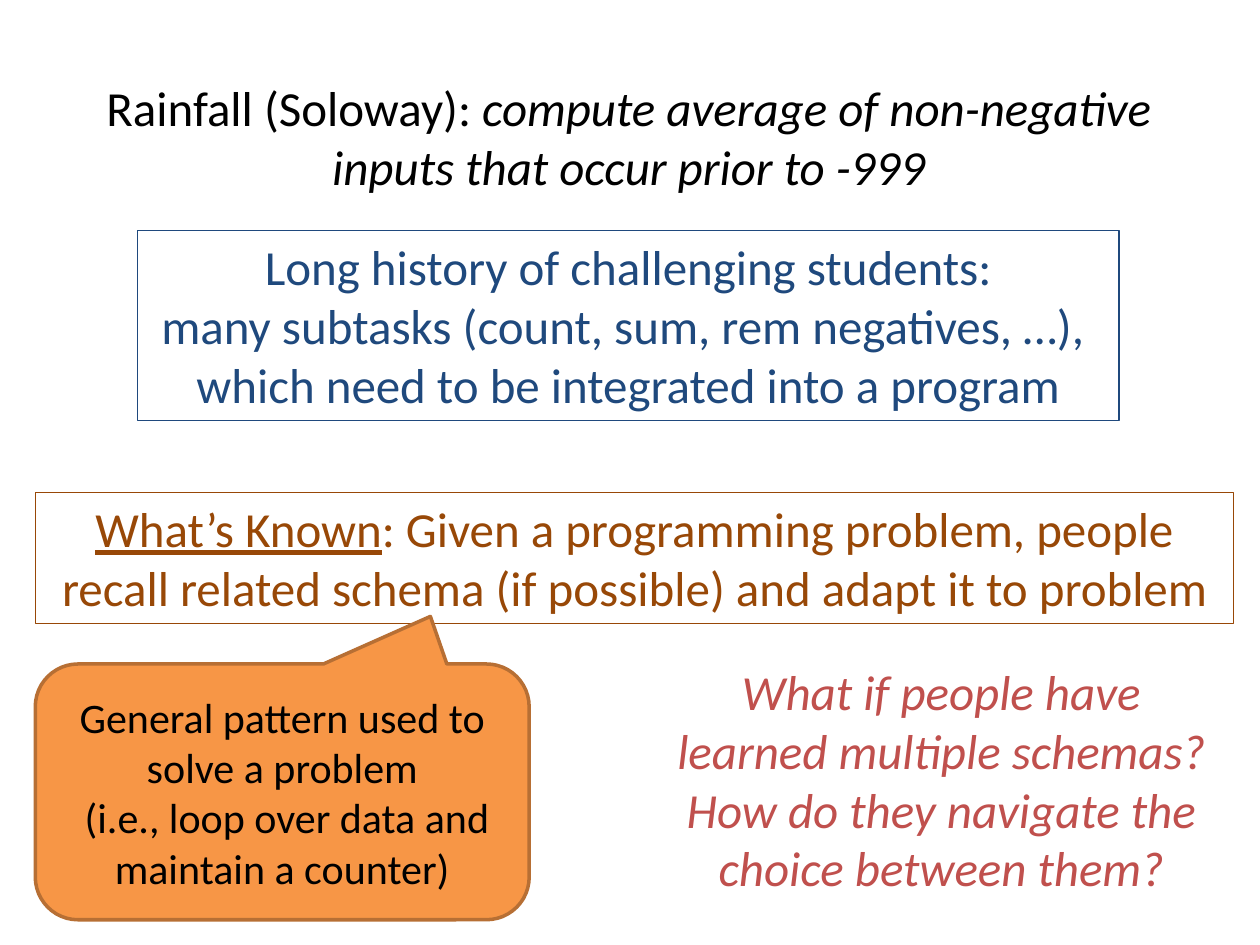
import pptx
import pptx.util
import pptx.dml.color
import pptx.enum.shapes
import pptx.enum.text
from pptx.util import Inches

INK = "000000"
NAVY = "1F497D"
BROWN = "984807"
RED = "C0504D"


def rgb(value):
    """Turn a hex string into a colour."""
    return pptx.dml.color.RGBColor.from_string(value)


def write(shape, paragraphs, color, size=28, italic=None):
    """Write centred paragraphs, each a list of (text, style) runs."""
    frame = shape.text_frame
    frame.word_wrap = True
    for index, runs in enumerate(paragraphs):
        paragraph = frame.add_paragraph() if index else frame.paragraphs[0]
        paragraph.alignment = pptx.enum.text.PP_ALIGN.CENTER
        font = paragraph.font
        font.name, font.size = "Calibri", pptx.util.Pt(size)
        font.color.rgb, font.italic = rgb(color), italic
        for text, style in runs:
            run = paragraph.add_run()
            run.text = text
            if style:
                setattr(run.font, style, True)


def add_statement(slide, box, paragraphs, color, outlined=False, italic=None):
    """Add a text box, with an outline in the text colour if asked."""
    statement = slide.shapes.add_textbox(*map(Inches, box))
    statement.text_frame.auto_size = pptx.enum.text.MSO_AUTO_SIZE.SHAPE_TO_FIT_TEXT
    if outlined:
        statement.line.color.rgb = rgb(color)
        statement.line.width = pptx.util.Pt(0.75)
    write(statement, paragraphs, color, italic=italic)


def add_callout(slide, box, paragraphs):
    """Add the orange speech callout pointing up at the statement above."""
    callout = slide.shapes.add_shape(
        pptx.enum.shapes.MSO_SHAPE.ROUNDED_RECTANGULAR_CALLOUT, *map(Inches, box))
    callout.shadow.inherit = False
    for index, value in enumerate((0.3, -0.686, 0.167)):
        callout.adjustments[index] = value
    callout.fill.solid()
    callout.fill.fore_color.rgb = rgb("F79646")
    callout.line.color.rgb = rgb("B76F34")
    callout.line.width = pptx.util.Pt(2)
    callout.text_frame.vertical_anchor = pptx.enum.text.MSO_ANCHOR.MIDDLE
    write(callout, paragraphs, INK, size=24)


def main():
    """Build the slide on the Rainfall problem and schemas."""
    deck = pptx.Presentation()
    deck.slide_width, deck.slide_height = Inches(10), Inches(7.5)
    slide = deck.slides.add_slide(deck.slide_layouts[6])
    add_statement(slide, (0.67, 0.57, 8.64, 1.04), [[
        ("Rainfall (Soloway): ", None),
        ("compute average of non-negative inputs that occur prior to -999", "italic"),
    ]], INK)
    add_statement(slide, (1.09, 1.83, 7.79, 1.51), [
        [("Long history of challenging students:", None)],
        [("many subtasks (count, sum, rem negatives, …), ", None)],
        [("which need to be integrated into a program", None)],
    ], NAVY, outlined=True)
    add_statement(slide, (0.28, 3.91, 9.51, 1.04), [[
        ("What’s Known", "underline"),
        (": Given a programming problem, people recall related schema "
         "(if possible) and adapt it to problem", None),
    ]], BROWN, outlined=True)
    add_statement(slide, (5.26, 5.2, 4.42, 1.99), [
        [("What if people have learned multiple schemas? ", None)],
        [("How do they navigate the choice between them?", None)],
    ], RED, italic=True)
    add_callout(slide, (0.28, 5.27, 3.92, 2.03), [
        [("General pattern used to solve a problem", None)],
        [(" (i.e., loop over data and maintain a counter)", None)],
    ])
    deck.save("out.pptx")


main()
